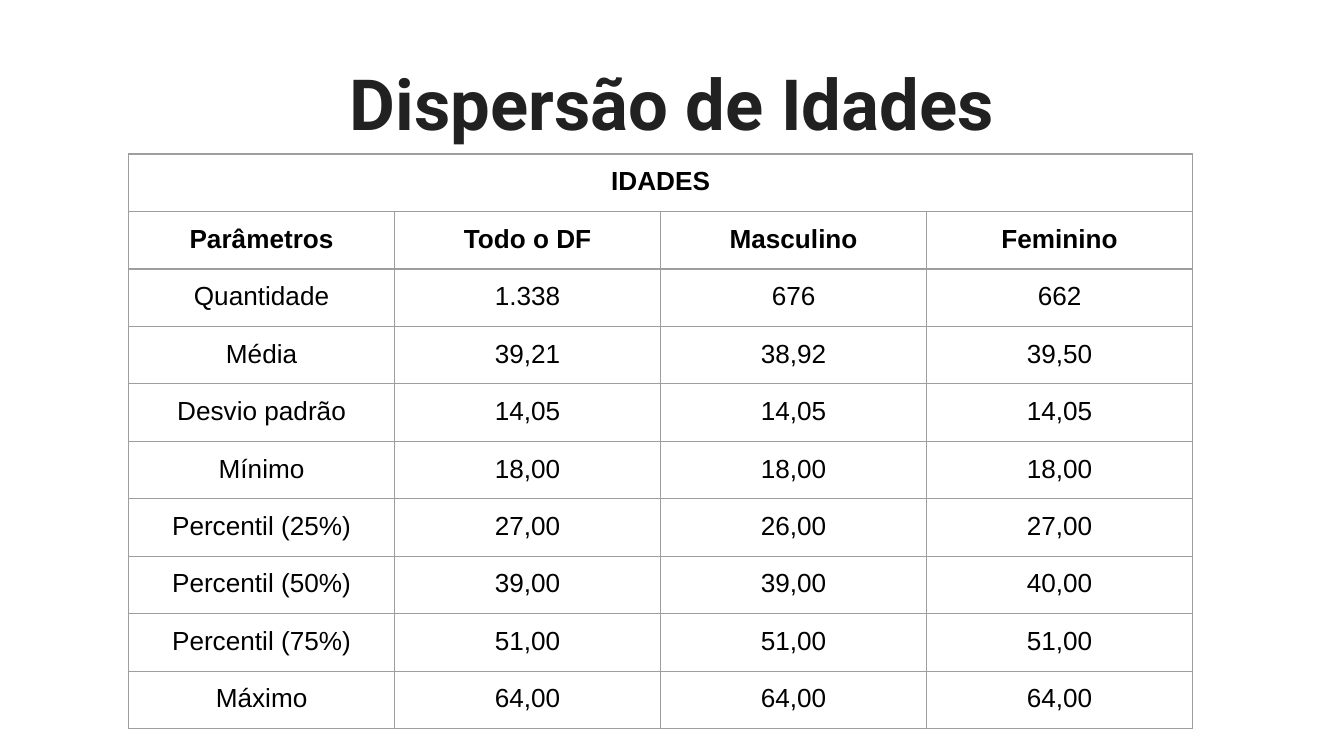
"""Build a slide with a table of age dispersion statistics."""
import pptx
import pptx.dml.color
import pptx.enum.text
import pptx.oxml
import pptx.oxml.ns
import pptx.util

Pt = pptx.util.Pt


def color(value):
    return pptx.dml.color.RGBColor.from_string(value)


def write(tf, text, *, size=14, font="Arial", fill="000000", bold=False):
    p = tf.paragraphs[0]
    p.alignment = pptx.enum.text.PP_ALIGN.CENTER
    r = p.add_run()
    r.text = text
    r.font.size = Pt(size)
    r.font.name = font
    r.font.bold = bold
    r.font.color.rgb = color(fill)


prs = pptx.Presentation()
prs.slide_width, prs.slide_height = Pt(720), Pt(405)
s = prs.slides.add_slide(prs.slide_layouts[6])
s.background.fill.solid()
s.background.fill.fore_color.rgb = color("FFFFFF")

tf = s.shapes.add_textbox(Pt(24.5), Pt(23), Pt(671), Pt(63.4)).text_frame
tf.word_wrap = True
tf.vertical_anchor = pptx.enum.text.MSO_ANCHOR.MIDDLE
tf.margin_left = tf.margin_right = tf.margin_top = tf.margin_bottom = Pt(7.2)
write(tf, "Dispersão de Idades", size=37.8, font="Roboto", fill="212121", bold=True)

rows = [
    ("IDADES", "", "", ""),
    ("Parâmetros", "Todo o DF", "Masculino", "Feminino"),
    ("Quantidade", "1.338", "676", "662"),
    ("Média", "39,21", "38,92", "39,50"),
    ("Desvio padrão", "14,05", "14,05", "14,05"),
    ("Mínimo", "18,00", "18,00", "18,00"),
    ("Percentil (25%)", "27,00", "26,00", "27,00"),
    ("Percentil (50%)", "39,00", "39,00", "40,00"),
    ("Percentil (75%)", "51,00", "51,00", "51,00"),
    ("Máximo", "64,00", "64,00", "64,00"),
]
col_width, row_height = 142.5, 30.1
table = s.shapes.add_table(
    len(rows), 4, Pt(68.9), Pt(82.5), Pt(4 * col_width), Pt(len(rows) * row_height)
).table
table.first_row = table.horz_banding = False
for col in table.columns:
    col.width = Pt(col_width)

for i, row in enumerate(rows):
    table.rows[i].height = Pt(row_height)
    for j, text in enumerate(row):
        cell = table.cell(i, j)
        cell.margin_left = cell.margin_right = Pt(7.2)
        cell.margin_top = cell.margin_bottom = Pt(7)
        for side in ("lnL", "lnR", "lnT", "lnB"):
            cell._tc.get_or_add_tcPr().append(pptx.oxml.parse_xml(
                f'<a:{side} {pptx.oxml.ns.nsdecls("a")} w="{Pt(0.75)}"><a:solidFill>'
                f'<a:srgbClr val="9E9E9E"/></a:solidFill></a:{side}>'
            ))
        cell.fill.background()
        if text:
            write(cell.text_frame, text, bold=i < 2)
table.cell(0, 0).merge(table.cell(0, 3))

prs.save("out.pptx")
